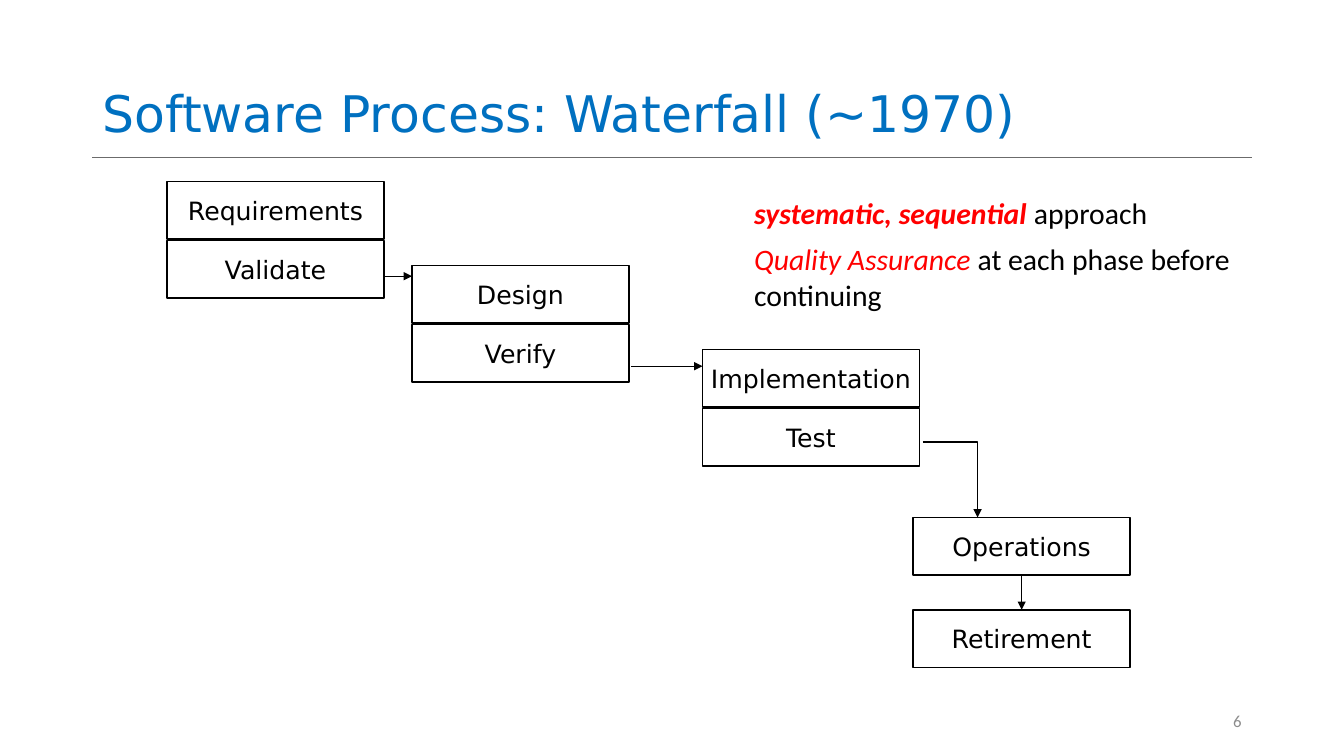
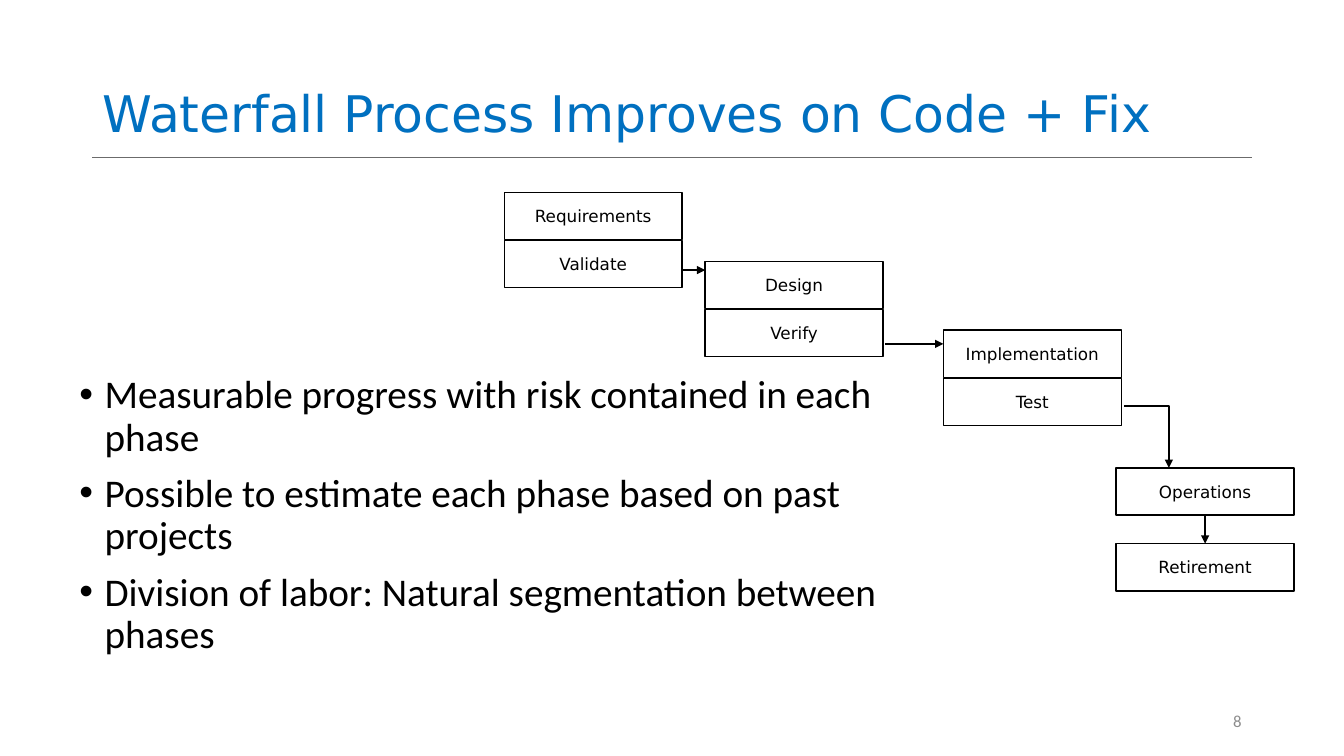
from lxml import etree
from pptx import Presentation
from pptx.dml.color import RGBColor
from pptx.enum import shapes as kinds, text as txt
from pptx.oxml.ns import qn
from pptx.util import Pt

BLACK, WHITE, BLUE, RED, GREY, RULE = "000000", "FFFFFF", "0070C0", "FF0000", "8C8C8C", "6B6B6B"
HEADING_FONT, BODY_FONT = "DejaVu Sans", "Calibri"
LEFT, CENTER, RIGHT = txt.PP_ALIGN.LEFT, txt.PP_ALIGN.CENTER, txt.PP_ALIGN.RIGHT
TOP, MIDDLE, BOTTOM = txt.MSO_ANCHOR.TOP, txt.MSO_ANCHOR.MIDDLE, txt.MSO_ANCHOR.BOTTOM

BOX_W, BOX_H, HALF_PITCH = 155, 41.2, 42
PHASES = [
    (0, 0, ["Requirements", "Validate"]),
    (175, 60, ["Design", "Verify"]),
    (382.5, 120, ["Implementation", "Test"]),
    (533, 240, ["Operations"]),
    (533, 306, ["Retirement"]),
]
HANDOVERS = [(155, 175, 67.7), (331.5, 382.5, 132)]
RELEASE = [(540, 186), (579, 186), (579, 240)]


def rgb(value):
    """Turn a hex string into a colour."""
    return RGBColor.from_string(value)


def apply(target, values):
    """Set every attribute named in a dict."""
    for name, value in values.items():
        setattr(target, name, value)


def style_font(font, size, name, color, **extra):
    """Format a font."""
    apply(font, dict(size=Pt(size), name=name, **extra))
    font.color.rgb = rgb(color)


def set_frame(shape, anchor, wrap=True, inset=(7.2, 3.6)):
    """Set the anchor, wrapping and insets of a text frame."""
    across, down = map(Pt, inset)
    apply(shape.text_frame, dict(
        auto_size=txt.MSO_AUTO_SIZE.NONE, word_wrap=wrap, vertical_anchor=anchor,
        margin_left=across, margin_right=across, margin_top=down, margin_bottom=down))
    return shape.text_frame


def write(paragraph, content, size, name, color, align=LEFT):
    """Fill a paragraph with one run of text."""
    paragraph.alignment = align
    run = paragraph.add_run()
    run.text = content
    style_font(run.font, size, name, color)


def add_box(slide, left, top, width, height):
    """Add an empty text box."""
    return slide.shapes.add_textbox(*map(Pt, (left, top, width, height)))


def style_line(shape, color=BLACK, width=1, arrow=False):
    """Format an outline and give it an optional arrowhead."""
    shape.line.width = Pt(width)
    shape.line.color.rgb = rgb(color)
    if arrow:
        etree.SubElement(shape.line._get_or_add_ln(), qn("a:tailEnd"), type="triangle")


def add_line(owner, start, end, **style):
    """Add a straight connector without shadow."""
    line = owner.shapes.add_connector(
        kinds.MSO_CONNECTOR.STRAIGHT, *map(Pt, (*start, *end)))
    style_line(line, **style)
    etree.SubElement(line._element.spPr, qn("a:effectLst"))
    return line


def add_slide(deck, heading, number):
    """Add a slide with its title, rule and page number."""
    slide = deck.slides.add_slide(deck.slide_layouts[5])
    title = slide.shapes.title
    apply(title, dict(left=Pt(66), top=Pt(1.5), width=Pt(828), height=Pt(104.4)))
    paragraph = set_frame(title, BOTTOM).paragraphs[0]
    paragraph.line_spacing = 0.9
    write(paragraph, heading, 36, HEADING_FONT, BLUE)
    add_line(slide, (66, 112.3), (894, 112.3), color=RULE, width=0.5)
    page = set_frame(add_box(slide, 678, 500.5, 216, 28.8), MIDDLE)
    write(page.paragraphs[0], number, 12, BODY_FONT, GREY, RIGHT)
    return slide


def add_phase_box(group, corner, size, label, font_size):
    """Add one labelled box of the waterfall."""
    box = group.shapes.add_shape(
        kinds.MSO_SHAPE.RECTANGLE, *map(Pt, (*corner, *size)))
    box.shadow.inherit = False
    box.fill.solid()
    box.fill.fore_color.rgb = rgb(WHITE)
    style_line(box)
    frame = set_frame(box, MIDDLE, wrap=False)
    write(frame.paragraphs[0], label, font_size, HEADING_FONT, BLACK, CENTER)
    return box


def add_bent_arrow(group, points):
    """Add an arrow that follows a list of points."""
    start, *rest = [tuple(map(Pt, point)) for point in points]
    builder = group.shapes.build_freeform(*start)
    builder.add_line_segments(rest, close=False)
    arrow = builder.convert_to_shape()
    arrow.shadow.inherit = False
    arrow.fill.background()
    style_line(arrow, arrow=True)


def add_waterfall(slide, left, top, scale, font_size):
    """Draw the waterfall diagram at a place and scale."""
    def place(x, y):
        """Map a diagram point onto the slide."""
        return left + x * scale, top + y * scale

    group = slide.shapes.add_group_shape()
    size = BOX_W * scale, BOX_H * scale
    boxes = {
        label: add_phase_box(group, place(x, y + row * HALF_PITCH), size, label, font_size)
        for x, y, labels in PHASES for row, label in enumerate(labels)}
    for start, end, y in HANDOVERS:
        add_line(group, place(start, y), place(end, y), arrow=True)
    add_bent_arrow(group, [place(*point) for point in RELEASE])
    center = PHASES[-1][0] + BOX_W / 2
    retiring = add_line(group, place(center, PHASES[-2][1] + BOX_H),
                        place(center, PHASES[-1][1]), arrow=True)
    retiring.begin_connect(boxes["Operations"], 2)
    retiring.end_connect(boxes["Retirement"], 0)


def add_note(slide, top, height, emphasis, rest, bold):
    """Add a remark that opens with red italics."""
    frame = set_frame(add_box(slide, 535.7, top, 358.5, height), MIDDLE, inset=(3, 3))
    paragraph = frame.paragraphs[0]
    for content, color, extra in ((emphasis, RED, dict(bold=bold, italic=True)), (rest, BLACK, {})):
        run = paragraph.add_run()
        run.text = content
        style_font(run.font, 21.2, BODY_FONT, color, **extra)


def add_bullets(slide, left, top, width, height, items):
    """Add a bulleted list."""
    frame = set_frame(add_box(slide, left, top, width, height), TOP)
    for index, item in enumerate(items):
        paragraph = frame.add_paragraph() if index else frame.paragraphs[0]
        apply(paragraph, dict(line_spacing=0.9, space_before=Pt(10 if index else 0)))
        properties = paragraph._p.get_or_add_pPr()
        properties.set("marL", str(Pt(18)))
        properties.set("indent", str(-Pt(18)))
        etree.SubElement(properties, qn("a:buFont"), typeface="Arial")
        etree.SubElement(properties, qn("a:buChar"), char="•")
        write(paragraph, item, 28, BODY_FONT, BLACK)


def main():
    """Build and save the slides."""
    deck = Presentation()
    apply(deck, dict(slide_width=Pt(960), slide_height=Pt(540)))

    process = add_slide(deck, "Software Process: Waterfall (~1970)", "6")
    add_note(process, 136, 32, "systematic, sequential ", "approach", True)
    add_note(process, 169.2, 57, "Quality Assurance ", "at each phase before continuing", False)
    add_waterfall(process, 119.3, 129.6, 1, 18)

    benefits = add_slide(deck, "Waterfall Process Improves on Code + Fix", "8")
    add_bullets(benefits, 49.7, 264.2, 621.4, 213.8, [
        "Measurable progress with risk contained in each phase",
        "Possible to estimate each phase based on past projects",
        "Division of labor: Natural segmentation between phases",
    ])
    add_waterfall(benefits, 360.2, 137.4, 0.82, 12)
    deck.save("out.pptx")


if __name__ == "__main__":
    main()
